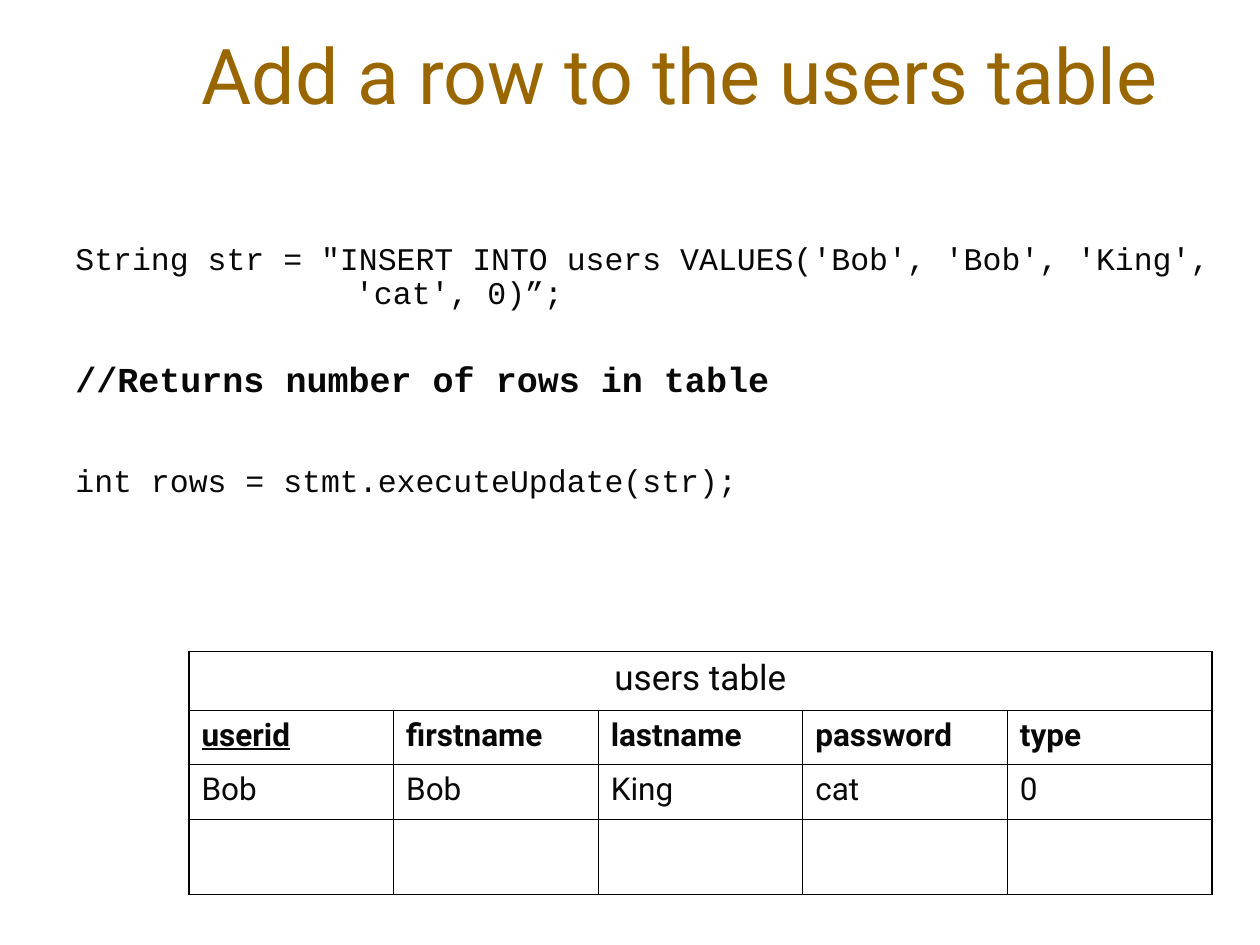
from dataclasses import dataclass

from lxml.etree import SubElement
from pptx import Presentation
from pptx.dml.color import RGBColor as RGB
from pptx.enum.text import MSO_ANCHOR as ANCHOR, MSO_AUTO_SIZE as AUTOSIZE, PP_ALIGN as ALIGN
from pptx.oxml.ns import qn
from pptx.util import Inches, Pt


@dataclass(frozen=True)
class Theme:
    title_color: RGB = RGB(0x99, 0x66, 0x00)
    text_color: RGB = RGB(0x08, 0x08, 0x08)
    border_color: str = "000000"
    sans: str = "Roboto"
    mono: str = "Courier New"
    title_size: Pt = Pt(44)
    large: Pt = Pt(20)
    normal: Pt = Pt(18)
    outer: Pt = Pt(1.08)
    inner: Pt = Pt(0.45)


def apply(obj, values):
    for name, value in values.items():
        setattr(obj, name, value)


class SlideBuilder:
    """Draws styled elements on the current slide."""

    def __init__(self, prs, theme):
        self.theme = theme
        self.s = prs.slides.add_slide(prs.slide_layouts[5])

    def add_text(self, p, text, font, size, color=None, **style):
        r = p.add_run()
        r.text = text
        apply(r.font, {"name": font, "size": size, **style})
        r.font.color.rgb = color or self.theme.text_color

    def title(self, text, box):
        sp = self.s.shapes.title
        apply(sp, dict(zip(("left", "top", "width", "height"), map(Inches, box))))
        tf = sp.text_frame
        apply(tf, {"word_wrap": True, "auto_size": AUTOSIZE.NONE, "vertical_anchor": ANCHOR.TOP})
        p = tf.paragraphs[0]
        p.alignment = ALIGN.LEFT
        self.add_text(p, text, self.theme.sans, self.theme.title_size, self.theme.title_color)

    def code(self, lines, box):
        tf = self.s.shapes.add_textbox(*map(Inches, box)).text_frame
        apply(tf, {"word_wrap": True, "auto_size": AUTOSIZE.NONE})
        for i, (text, before, margin, hang, size, bold) in enumerate(lines):
            p = tf.add_paragraph() if i else tf.paragraphs[0]
            apply(p, {"line_spacing": 0.9, "space_before": Pt(before)})
            pPr = p._p.get_or_add_pPr()
            pPr.set("marL", str(Inches(margin)))
            pPr.set("indent", str(-Inches(hang)))
            self.add_text(p, text, self.theme.mono, size, bold=bold)

    def borders(self, cell, widths):
        tcPr = cell._tc.get_or_add_tcPr()
        for side, width in widths.items():
            ln = SubElement(tcPr, qn(f"a:ln{side}"), w=str(width))
            fill = SubElement(ln, qn("a:solidFill"))
            SubElement(fill, qn("a:srgbClr"), val=self.theme.border_color)

    def table(self, caption, header, rows, box, heights):
        t = self.theme
        grid = [[caption] + [""] * (len(header) - 1), header, *rows]
        last_row, last_col = len(grid) - 1, len(header) - 1
        table = self.s.shapes.add_table(len(grid), len(header), *map(Inches, box)).table
        apply(table, {"first_row": False, "horz_banding": False})
        for row, height in zip(table.rows, heights):
            row.height = Inches(height)
        table.cell(0, 0).merge(table.cell(0, last_col))
        for i, values in enumerate(grid):
            for j, text in enumerate(values):
                cell = table.cell(i, j)
                self.borders(cell, {
                    "L": t.inner if j else t.outer,
                    "R": t.outer if j == last_col or cell.is_merge_origin else t.inner,
                    "T": t.inner if i else t.outer,
                    "B": t.outer if i == last_row else t.inner,
                })
                cell.fill.background()
                if text:
                    p = cell.text_frame.paragraphs[0]
                    size = t.normal if i else t.large
                    apply(p, {"alignment": ALIGN.LEFT if i else ALIGN.CENTER,
                              "space_before": Pt(4.5 if i else 5)})
                    self.add_text(p, text, t.sans, size, bold=i == 1, underline=(i, j) == (1, 0))


def main():
    prs = Presentation()
    apply(prs, {"slide_width": Inches(10), "slide_height": Inches(7.5)})
    theme = Theme()
    slide = SlideBuilder(prs, theme)
    slide.title("Add a row to the users table", (1.5, 0.17, 8.25, 1.25))
    slide.code([
        ("String str = \"INSERT INTO users VALUES('Bob', 'Bob', 'King',", 4.5, 1, 1, theme.normal, False),
        ("'cat', 0)”;", 0, 2.22, 0, theme.normal, False),
        ("//Returns number of rows in table", 29, 1, 1, theme.large, True),
        ("int rows = stmt.executeUpdate(str);", 37.5, 1, 1, theme.normal, False),
    ], (0.5, 1.88, 9.23, 3.21))
    slide.table(
        "users table",
        ["userid", "firstname", "lastname", "password", "type"],
        [["Bob", "Bob", "King", "cat", "0"], [""] * 5],
        (1.5, 5.17, 8.12, 1.93),
        (0.47, 0.43, 0.43, 0.6),
    )
    prs.save("out.pptx")


if __name__ == "__main__":
    main()
